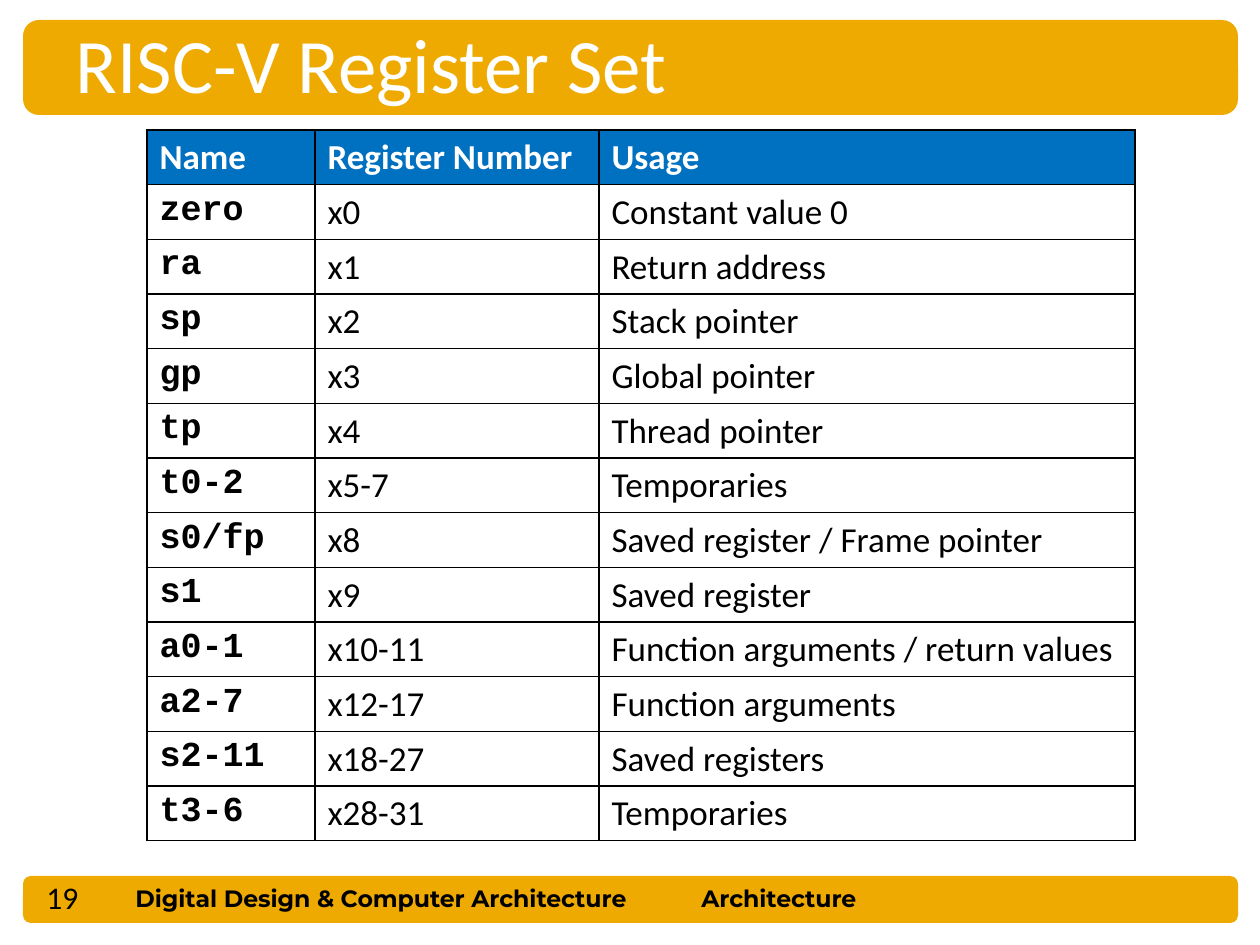
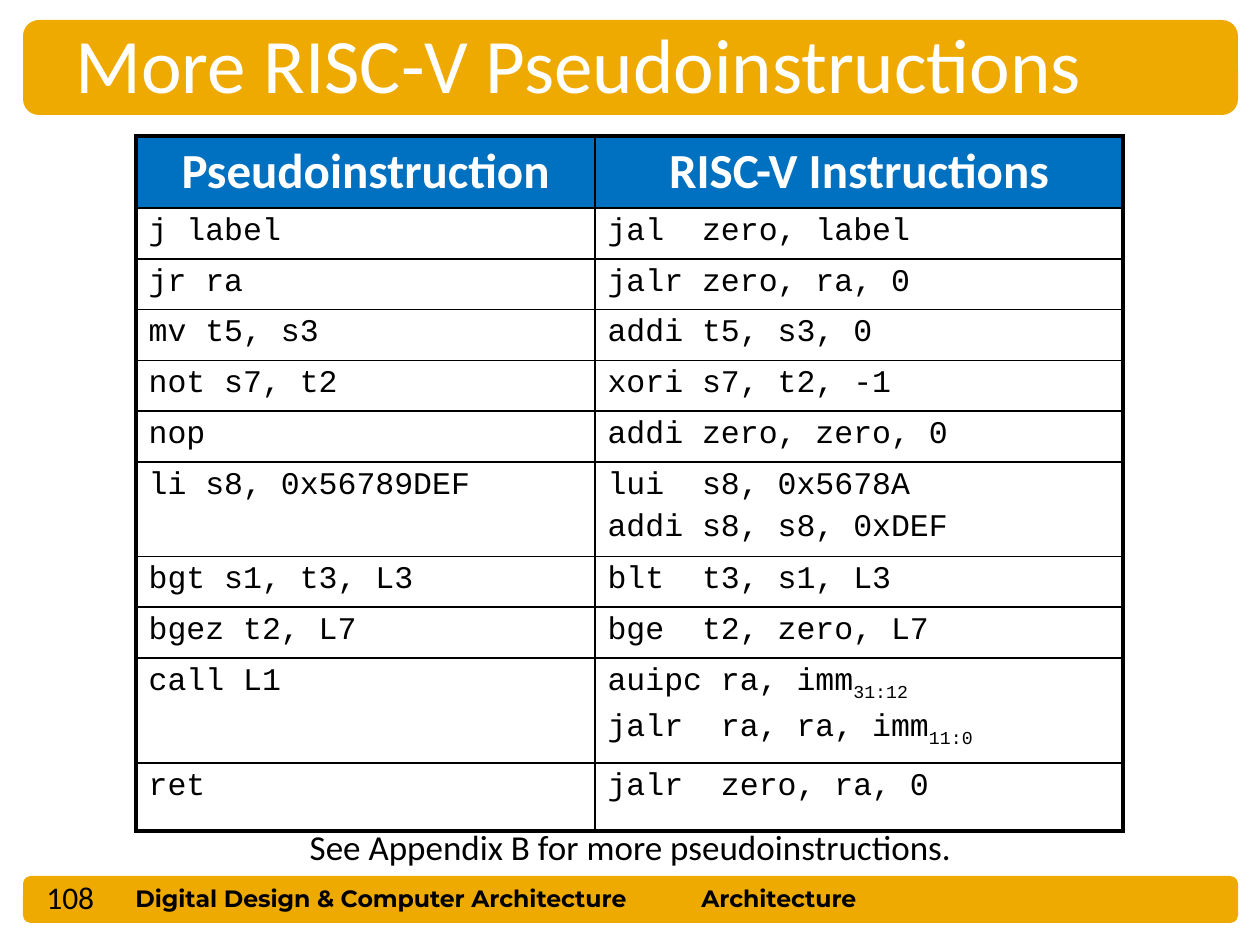
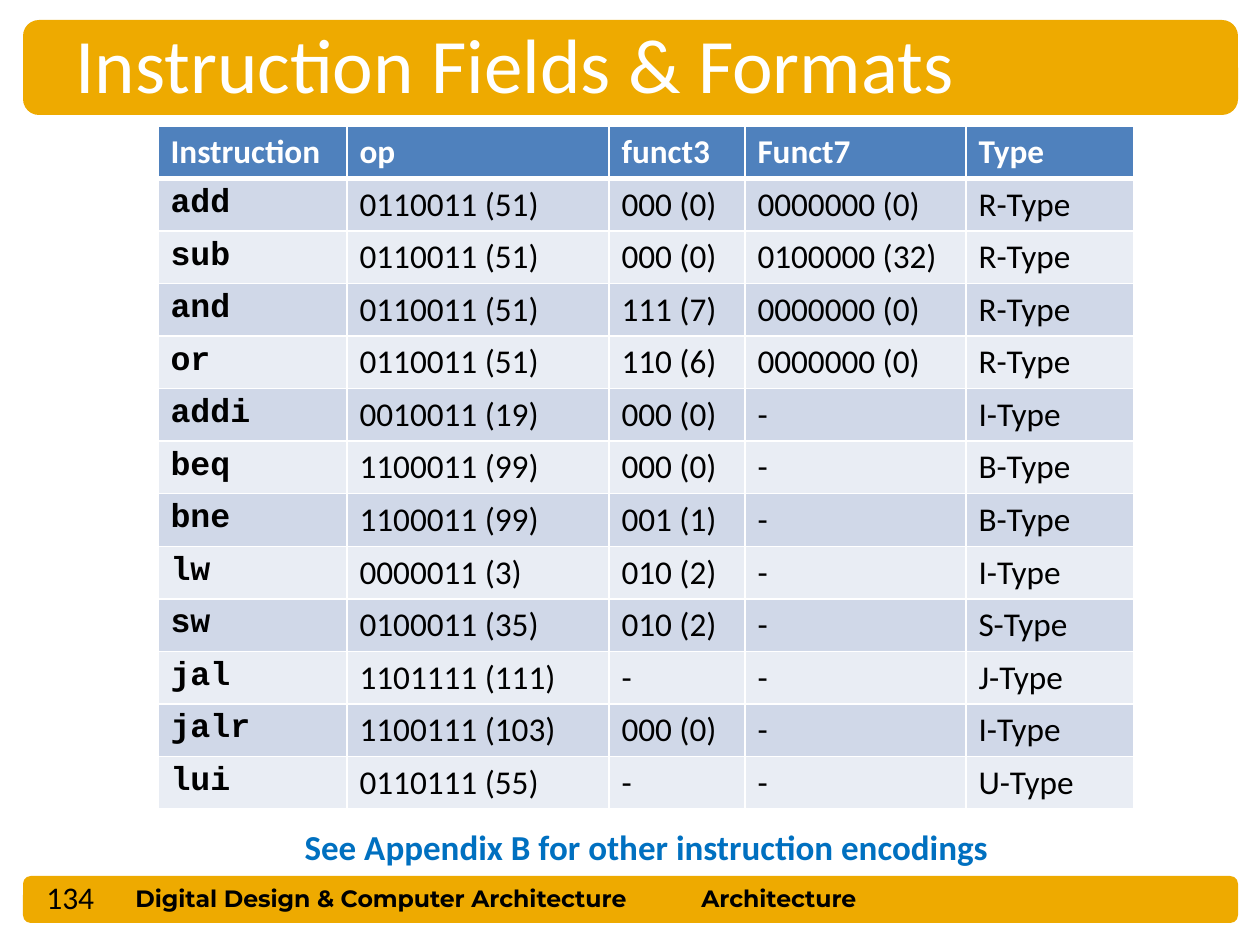
import dataclasses

import lxml.etree
import pptx
import pptx.dml.color
import pptx.enum.shapes
import pptx.enum.text
import pptx.oxml.ns
import pptx.util

PX_PER_INCH = 126
ALIGN = pptx.enum.text.PP_ALIGN
ANCHOR = pptx.enum.text.MSO_ANCHOR


@dataclasses.dataclass(frozen=True)
class Theme:
    """Colours, fonts and type sizes shared by all slides."""
    band: str = "EEAA00"
    accent: str = "0070C0"
    header: str = "4F81BD"
    stripes: tuple = ("D0D8E8", "E9EDF4")
    black: str = "000000"
    white: str = "FFFFFF"
    sans: str = "Calibri"
    mono: str = "Courier New"
    footer_font: str = "Montserrat"
    title_size: float = 44
    big_header_size: float = 28
    body_size: float = 20
    dense_size: float = 19
    small_size: float = 18
    footer_size: float = 13.5


THEME = Theme()


@dataclasses.dataclass(frozen=True)
class TableLook:
    """Formatting of one table."""
    size: float
    header_size: float
    header_fill: str
    mono_columns: tuple
    mono_bold: bool = True
    stripes: tuple = ()
    header_align: object = ALIGN.LEFT
    line_color: str = THEME.black
    outer_width: float = 1
    header_rule: float = 1


REGISTERS = [
    ("Name", "Register Number", "Usage"),
    ("zero", "x0", "Constant value 0"),
    ("ra", "x1", "Return address"),
    ("sp", "x2", "Stack pointer"),
    ("gp", "x3", "Global pointer"),
    ("tp", "x4", "Thread pointer"),
    ("t0-2", "x5-7", "Temporaries"),
    ("s0/fp", "x8", "Saved register / Frame pointer"),
    ("s1", "x9", "Saved register"),
    ("a0-1", "x10-11", "Function arguments / return values"),
    ("a2-7", "x12-17", "Function arguments"),
    ("s2-11", "x18-27", "Saved registers"),
    ("t3-6", "x28-31", "Temporaries"),
]

PSEUDOINSTRUCTIONS = [
    ("Pseudoinstruction", "RISC-V Instructions"),
    ("j label", "jal  zero, label"),
    ("jr ra", "jalr zero, ra, 0"),
    ("mv t5, s3", "addi t5, s3, 0"),
    ("not s7, t2", "xori s7, t2, -1"),
    ("nop", "addi zero, zero, 0"),
    ("li s8, 0x56789DEF", "lui  s8, 0x5678A\naddi s8, s8, 0xDEF"),
    ("bgt s1, t3, L3", "blt  t3, s1, L3"),
    ("bgez t2, L7", "bge  t2, zero, L7"),
    ("call L1", "auipc ra, imm_31:12\njalr  ra, ra, imm_11:0"),
    ("ret", "jalr  zero, ra, 0"),
]

ENCODINGS = [
    ("Instruction", "op", "funct3", "Funct7", "Type"),
    ("add", "0110011 (51)", "000 (0)", "0000000 (0)", "R-Type"),
    ("sub", "0110011 (51)", "000 (0)", "0100000 (32)", "R-Type"),
    ("and", "0110011 (51)", "111 (7)", "0000000 (0)", "R-Type"),
    ("or", "0110011 (51)", "110 (6)", "0000000 (0)", "R-Type"),
    ("addi", "0010011 (19)", "000 (0)", "-", "I-Type"),
    ("beq", "1100011 (99)", "000 (0)", "-", "B-Type"),
    ("bne", "1100011 (99)", "001 (1)", "-", "B-Type"),
    ("lw", "0000011 (3)", "010 (2)", "-", "I-Type"),
    ("sw", "0100011 (35)", "010 (2)", "-", "S-Type"),
    ("jal", "1101111 (111)", "-", "-", "J-Type"),
    ("jalr", "1100111 (103)", "000 (0)", "-", "I-Type"),
    ("lui", "0110111 (55)", "-", "-", "U-Type"),
]


def px(length):
    """Turn pixels into EMU."""
    return pptx.util.Emu(round(length * 914400 / PX_PER_INCH))


def rgb(color):
    """Turn a hex string into a colour."""
    return pptx.dml.color.RGBColor.from_string(color)


def style_paragraph(paragraph, size, color=THEME.black, font=THEME.sans, bold=False, align=ALIGN.LEFT):
    """Set the font and alignment of a paragraph."""
    paragraph.alignment = align
    paragraph.font.name = font
    paragraph.font.size = pptx.util.Pt(size)
    paragraph.font.bold = bold
    paragraph.font.color.rgb = rgb(color)


def add_band(slide, top, height):
    """Add a full-width rounded band."""
    shape = slide.shapes.add_shape(
        pptx.enum.shapes.MSO_SHAPE.ROUNDED_RECTANGLE, px(23), px(top), px(1215), px(height))
    shape.shadow.inherit = False
    shape.fill.solid()
    shape.fill.fore_color.rgb = rgb(THEME.band)
    shape.line.fill.background()


def add_label(slide, text, box, size, line_spacing=None, **style):
    """Add a one-paragraph text box."""
    frame = slide.shapes.add_textbox(*map(px, box)).text_frame
    frame.word_wrap = True
    paragraph = frame.paragraphs[0]
    paragraph.text = text
    paragraph.line_spacing = line_spacing
    style_paragraph(paragraph, size, **style)


def add_framed_slide(presentation, title_text, number, title_width=1144):
    """Add a slide with its title, bands and footer."""
    slide = presentation.slides.add_slide(presentation.slide_layouts[5])
    add_band(slide, 876, 47)
    add_band(slide, 20, 95)
    for text, left, width in (("Digital Design & Computer Architecture", 123, 559),
                              ("Architecture", 689, 370)):
        add_label(slide, text, (left, 878, width, 42), THEME.footer_size,
                  font=THEME.footer_font, bold=True)
    title = slide.shapes.title
    title.left, title.top, title.width, title.height = map(px, (63, 10, title_width, 106))
    frame = title.text_frame
    frame.text = title_text
    frame.auto_size = pptx.enum.text.MSO_AUTO_SIZE.NONE
    frame.vertical_anchor = ANCHOR.MIDDLE
    style_paragraph(frame.paragraphs[0], THEME.title_size, THEME.white)
    title.element.getparent().append(title.element)
    add_label(slide, str(number), (34, 872, 103, 49), THEME.small_size)
    return slide


def set_borders(cell, color, widths):
    """Draw the left, right, top and bottom borders of a cell."""
    properties = cell._tc.get_or_add_tcPr()
    for side, width in zip("LRTB", widths):
        line = lxml.etree.SubElement(
            properties, pptx.oxml.ns.qn(f"a:ln{side}"), w=str(pptx.util.Pt(width)))
        fill = lxml.etree.SubElement(line, pptx.oxml.ns.qn("a:solidFill"))
        lxml.etree.SubElement(fill, pptx.oxml.ns.qn("a:srgbClr"), val=color)


def fill_cell(cell, color):
    """Fill a cell, or leave it clear when there is no colour."""
    if color:
        cell.fill.solid()
        cell.fill.fore_color.rgb = rgb(color)
    else:
        cell.fill.background()


def write_cell(cell, text, **style):
    """Write the lines of a cell; an underscore starts a subscript."""
    frame = cell.text_frame
    for index, line in enumerate(text.split("\n")):
        paragraph = frame.add_paragraph() if index else frame.paragraphs[0]
        style_paragraph(paragraph, **style)
        if index:
            paragraph.space_before = pptx.util.Pt(style["size"] * 0.2)
        base, _, subscript = line.partition("_")
        paragraph.add_run().text = base
        if subscript:
            run = paragraph.add_run()
            run.text = subscript
            run.font._element.set("baseline", "-25000")


def add_grid(slide, rows, left, top, column_widths, height, look, row_heights=()):
    """Add a table with a header row."""
    last_row, last_column = len(rows) - 1, len(column_widths) - 1
    table = slide.shapes.add_table(len(rows), len(column_widths), px(left), px(top),
                                   px(sum(column_widths)), px(height)).table
    table.first_row = table.horz_banding = False
    for column, width in zip(table.columns, column_widths):
        column.width = px(width)
    for row, row_height in zip(table.rows, row_heights):
        row.height = px(row_height)
    for r, texts in enumerate(rows):
        for c, text in enumerate(texts):
            cell = table.cell(r, c)
            set_borders(cell, look.line_color, (
                look.outer_width if c == 0 else 1,
                look.outer_width if c == last_column else 1,
                look.outer_width if r == 0 else look.header_rule if r == 1 else 1,
                look.outer_width if r == last_row else look.header_rule if r == 0 else 1))
            if r == 0:
                fill_cell(cell, look.header_fill)
                cell.vertical_anchor = ANCHOR.MIDDLE
                write_cell(cell, text, size=look.header_size, color=THEME.white,
                           bold=True, align=look.header_align)
            else:
                fill_cell(cell, look.stripes[(r - 1) % 2] if look.stripes else None)
                mono = c in look.mono_columns
                write_cell(cell, text, size=look.size, font=THEME.mono if mono else THEME.sans,
                           bold=mono and look.mono_bold)


def main():
    """Build the three slides."""
    presentation = pptx.Presentation()
    presentation.slide_width, presentation.slide_height = px(1260), px(945)

    slide = add_framed_slide(presentation, "RISC-V Register Set", 19, title_width=1092)
    look = TableLook(THEME.body_size, THEME.body_size, THEME.accent, mono_columns=(0,))
    add_grid(slide, REGISTERS, 147, 130, (168, 284, 536), 711, look)

    slide = add_framed_slide(presentation, "More RISC-V Pseudoinstructions", 108)
    add_label(slide, "See Appendix B for more pseudoinstructions.", (137, 824, 987, 44),
              THEME.body_size, line_spacing=0.9, align=ALIGN.CENTER)
    look = TableLook(THEME.small_size, THEME.big_header_size, THEME.accent, mono_columns=(0, 1),
                     mono_bold=False, header_align=ALIGN.CENTER, outer_width=2.25)
    add_grid(slide, PSEUDOINSTRUCTIONS, 136, 136, (459, 528), 693, look,
             row_heights=(72, 51, 50, 51, 50, 51, 94, 50, 51, 105, 68))

    slide = add_framed_slide(presentation, "Instruction Fields & Formats", 134)
    look = TableLook(THEME.dense_size, THEME.dense_size, THEME.header, mono_columns=(0,),
                     stripes=THEME.stripes, line_color=THEME.white, header_rule=3)
    add_grid(slide, ENCODINGS, 158, 126, (189, 262, 136, 221, 168), 682, look)
    add_label(slide, "See Appendix B for other instruction encodings", (158, 819, 977, 55),
              THEME.body_size, color=THEME.accent, bold=True, align=ALIGN.CENTER)

    presentation.save("out.pptx")


if __name__ == "__main__":
    main()
